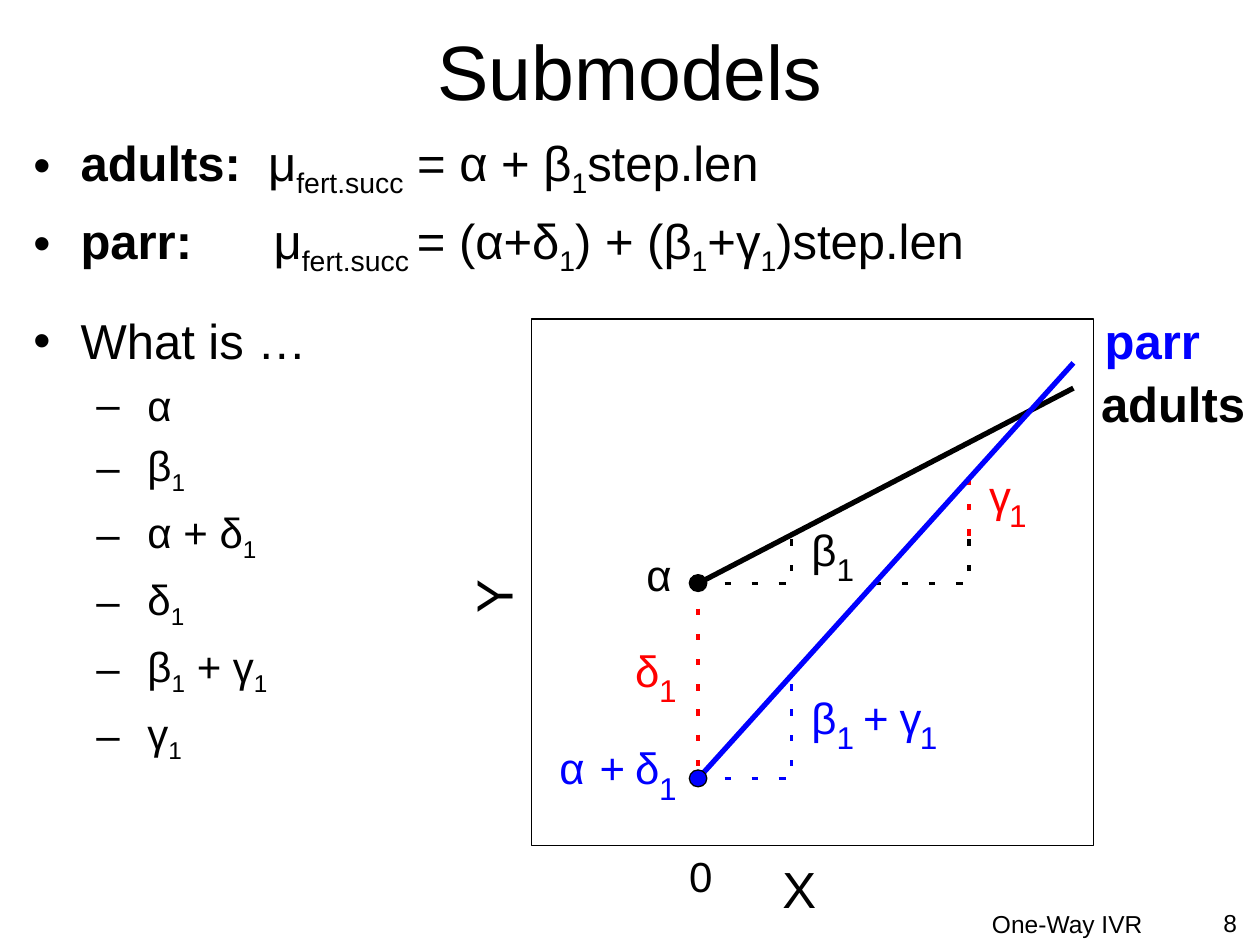
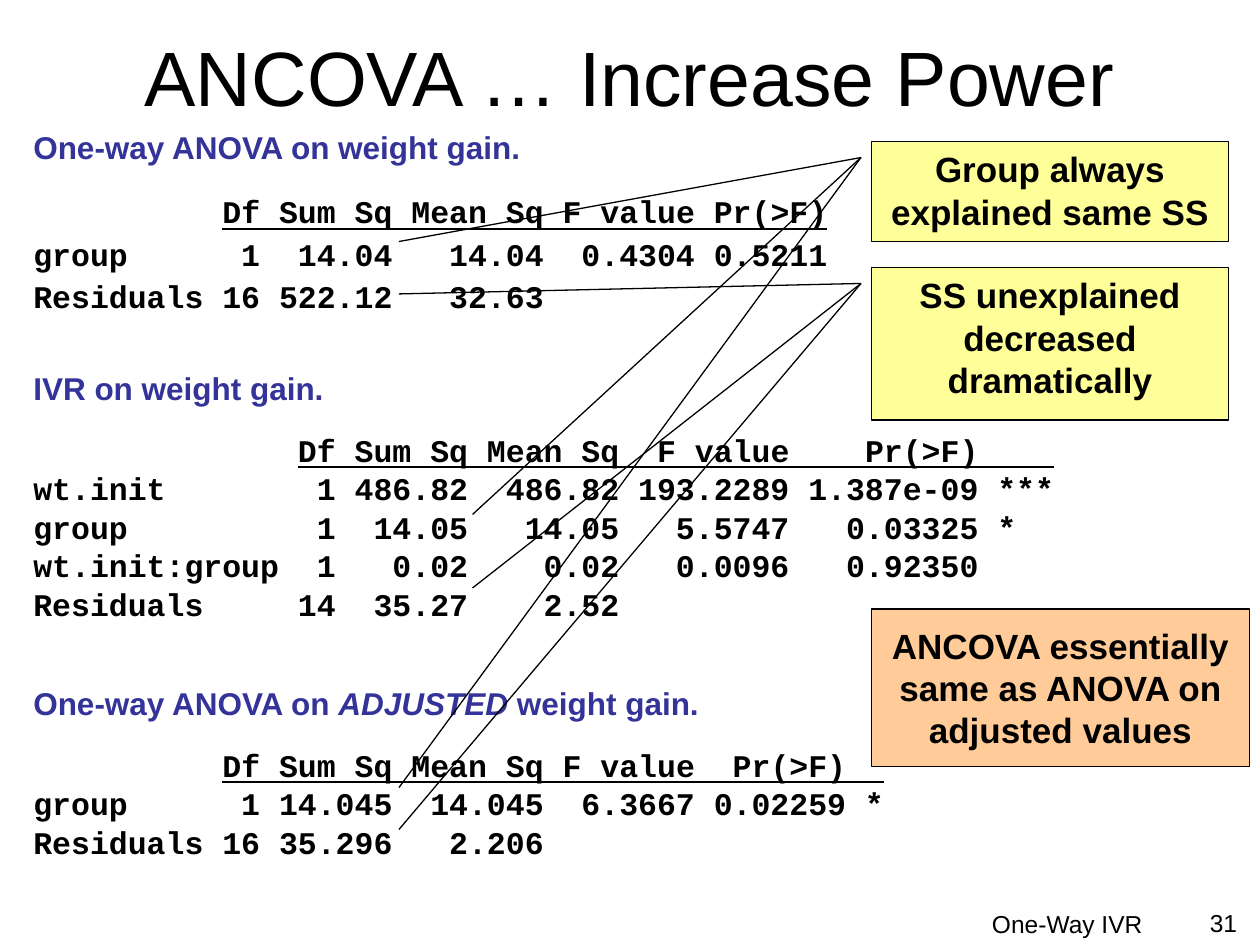
from dataclasses import dataclass
from lxml import etree
from pptx import Presentation
from pptx.dml.color import RGBColor
from pptx.enum import shapes, text
from pptx.oxml.ns import qn
from pptx.util import Pt


@dataclass(frozen=True)
class Theme:
    sans: str = "Arial"
    mono: str = "Courier New"
    black: str = "000000"
    blue: str = "0000FF"
    red: str = "FF0000"
    navy: str = "333399"
    yellow: str = "FFFF99"
    peach: str = "FFCC99"
    title: int = 44
    body: int = 28
    item: int = 24
    axis: int = 29
    symbol: int = 25
    subscript: int = 18
    output: int = 18
    note: int = 20
    footer: int = 14


THEME = Theme()
FOOTER = "One-Way IVR"

SUBMODELS = [
    ("adults:", 7.8, "μ|fert.succ| = α + β|1|step.len"),
    ("parr:", 38.9, "μ|fert.succ |= (α+δ|1|) + (β|1|+γ|1|)step.len"),
]
QUESTION = "What is …"
PARAMETERS = ["α", "β|1|", "α + δ|1|", "δ|1|", "β|1| + γ|1|", "γ|1|"]

DASHES = [
    (414, 333.4, 15.5, 0, 3, THEME.black),
    (452.2, 326.2, 0, -14.4, 2, THEME.black),
    (414, 445, 15.5, 0, 3, THEME.blue),
    (452.2, 437.8, 0, -14.4, 4, THEME.blue),
    (398.9, 347.8, 0, 14.4, 7, THEME.red),
    (499.7, 333.4, 15.5, 0, 4, THEME.black),
    (553.7, 326.2, 0, -14.4, 2, THEME.black),
    (553.7, 306, 0, -14.4, 3, THEME.red),
]
SYMBOL_WIDTHS = {"α": 34.6, "β": 33.1, "γ": 28.1, "δ": 31, "+": 31.7, "1": 19.4}
LABELS = [
    (369.4, 313.2, THEME.black, [("α", 0)]),
    (319.7, 423.4, THEME.blue, [("α", 0), ("+", 23), ("δ", 43.2), ("1", 57)]),
    (463.7, 298.8, THEME.black, [("β", 0), ("1", 14.4)]),
    (463.7, 394.6, THEME.blue,
     [("β", 0), ("1", 14.4), ("+", 29.5), ("γ", 50.4), ("1", 62)]),
    (362.9, 367.9, THEME.red, [("δ", 0), ("1", 13.7)]),
    (565.2, 267.8, THEME.red, [("γ", 0), ("1", 11.5)]),
]
REGRESSIONS = [
    (398.9, 333.4, 613.4, 221.8, THEME.black),
    (398.9, 445, 613.4, 207.4, THEME.blue),
]
GROUP_NAMES = [
    ("adults", 622.1, 210.2, 97.9, THEME.black),
    ("parr", 624.2, 174.2, 69.8, THEME.blue),
]

ANALYSES = [
    {"box": (12, 390, 648, 102), "spacing": 0.8, "ends": (12, 19, 27, 35, 43, 45),
     "heading": "One-way ANOVA on |ADJUSTED| weight gain.",
     "columns": ("Df", "Sum Sq", "Mean Sq", "F value", "Pr(>F)", ""),
     "rows": [("group", "1", "14.045", "14.045", "6.3667", "0.02259", "*"),
              ("Residuals", "16", "35.296", "2.206")]},
    {"box": (12, 72, 648, 108), "spacing": 0.9, "ends": (12, 19, 27, 35, 42),
     "heading": "One-way ANOVA on weight gain.",
     "columns": ("Df", "Sum Sq", "Mean Sq", "F value", "Pr(>F)"),
     "rows": [("group", "1", "14.04", "14.04", "0.4304", "0.5211"),
              ("Residuals", "16", "522.12", "32.63")]},
    {"box": (12, 210, 648, 144), "spacing": 0.8, "ends": (16, 23, 31, 40, 50, 54),
     "heading": "IVR on weight gain.",
     "columns": ("Df", "Sum Sq", "Mean Sq", "F value", "Pr(>F)", ""),
     "rows": [("wt.init", "1", "486.82", "486.82", "193.2289", "1.387e-09", "***"),
              ("group", "1", "14.05", "14.05", "5.5747", "0.03325", "*"),
              ("wt.init:group", "1", "0.02", "0.02", "0.0096", "0.92350"),
              ("Residuals", "14", "35.27", "2.52")]},
]
CALLOUTS = [
    ("Group always explained same SS", (498, 81, 204, 57),
     (0.158, -0.029, 1, -1.324), (492, 90), [(270, 294), (228, 450)]),
    ("SS unexplained decreased dramatically", (498, 153, 204, 87),
     (0.103, -0.029, 0.172, -1.324), (492, 162), [(270, 336), (228, 474)]),
]
CONCLUSION = ("ANCOVA essentially same as ANOVA on adjusted values", (498, 348, 216, 90))


def color(value):
    return RGBColor.from_string(value)


def add_run(paragraph, words, size, tint=THEME.black, font=THEME.sans, bold=False):
    run = paragraph.add_run()
    run.text = words
    run.font.size = Pt(size)
    run.font.name = font
    run.font.bold = bold
    run.font.color.rgb = color(tint)
    return run


def add_formula(paragraph, formula, size):
    for index, part in enumerate(formula.split("|")):
        if part:
            run = add_run(paragraph, part, size)
            if index % 2:
                run.font._element.set("baseline", "-25000")


def add_box(slide, box, anchor=text.MSO_ANCHOR.TOP):
    shape = slide.shapes.add_textbox(*map(Pt, box))
    shape.text_frame.word_wrap = True
    shape.text_frame.vertical_anchor = anchor
    return shape


def add_line(slide, start, end, tint, width):
    line = slide.shapes.add_connector(
        shapes.MSO_CONNECTOR.STRAIGHT, *map(Pt, (*start, *end)))
    line.line.color.rgb = color(tint)
    line.line.width = Pt(width)
    etree.SubElement(line._element.spPr, qn("a:effectLst"))


def add_figure(slide, kind, box, fill=None, width=0):
    shape = slide.shapes.add_shape(kind, *map(Pt, box))
    shape.shadow.inherit = False
    if fill:
        shape.fill.solid()
        shape.fill.fore_color.rgb = color(fill)
    else:
        shape.fill.background()
    shape.line.color.rgb = color(THEME.black)
    shape.line.width = Pt(width)
    return shape


def add_label(slide, words, box, size, tint=THEME.black, bold=False, inset=False):
    shape = add_box(slide, box)
    frame = shape.text_frame
    frame.word_wrap = False
    frame.auto_size = text.MSO_AUTO_SIZE.SHAPE_TO_FIT_TEXT
    if not inset:
        frame.margin_left = frame.margin_right = 0
        frame.margin_top = frame.margin_bottom = 0
    add_run(frame.paragraphs[0], words, size, tint, bold=bold)
    return shape


def next_paragraph(frame):
    first = frame.paragraphs[0]
    return frame.add_paragraph() if first.runs else first


def add_bullet(frame, mark, margin, hanging, space):
    paragraph = next_paragraph(frame)
    paragraph.space_before = Pt(space)
    properties = paragraph._p.get_or_add_pPr()
    properties.set("marL", str(Pt(margin)))
    properties.set("indent", str(-Pt(hanging)))
    etree.SubElement(properties, qn("a:buFont")).set("typeface", THEME.sans)
    etree.SubElement(properties, qn("a:buChar")).set("char", mark)
    return paragraph


def add_slide(presentation, title, title_box, number):
    slide = presentation.slides.add_slide(presentation.slide_layouts[6])
    right, center = text.PP_ALIGN.RIGHT, text.PP_ALIGN.CENTER
    for words, box, size, align, anchor in (
        (FOOTER, (432, 516, 228, 18), THEME.footer, right, text.MSO_ANCHOR.TOP),
        (number, (666, 515.5, 48, 24.5), THEME.footer, right, text.MSO_ANCHOR.TOP),
        (title, title_box, THEME.title, center, text.MSO_ANCHOR.MIDDLE),
    ):
        paragraph = add_box(slide, box, anchor).text_frame.paragraphs[0]
        paragraph.alignment = align
        add_run(paragraph, words, size)
    return slide


def add_note(shape, words, anchor):
    shape.text_frame.word_wrap = True
    shape.text_frame.vertical_anchor = anchor
    paragraph = shape.text_frame.paragraphs[0]
    paragraph.alignment = text.PP_ALIGN.CENTER
    add_run(paragraph, words, THEME.note, bold=True)


def align_columns(cells, ends):
    starts = (0, *ends)
    return "".join(
        " " + cell if cell.startswith("*") else cell.rjust(end - start)
        for cell, start, end in zip(cells, starts, ends))


def add_analysis(slide, analysis):
    frame = add_box(slide, analysis["box"]).text_frame
    ends = analysis["ends"]
    label_width = ends[0] - 2

    def output_line(space):
        paragraph = next_paragraph(frame)
        paragraph.space_before = Pt(space)
        paragraph.line_spacing = analysis["spacing"]
        return paragraph

    heading = output_line(4.5)
    heading.line_spacing = 0.9
    for index, part in enumerate(analysis["heading"].split("|")):
        run = add_run(heading, part, THEME.output, THEME.navy, bold=True)
        run.font.italic = bool(index % 2)

    header = output_line(17.4)
    columns = align_columns(analysis["columns"], ends)[label_width:]
    for words, underline in ((" " * label_width, False), (columns, True)):
        run = add_run(header, words, THEME.output, font=THEME.mono, bold=True)
        run.font.underline = underline

    for name, *cells in analysis["rows"]:
        line = name + align_columns(cells, ends)[len(name):]
        add_run(output_line(4.7), line, THEME.output, font=THEME.mono, bold=True)


def build_submodels(presentation):
    slide = add_slide(presentation, "Submodels", (36, 6, 648, 68), "8")

    frame = add_box(slide, (12, 72, 690, 96)).text_frame
    for name, gap, formula in SUBMODELS:
        paragraph = add_bullet(frame, "•", 27, 27, 6.4)
        add_run(paragraph, name, THEME.body, bold=True)
        space = add_run(paragraph, " ", THEME.body, bold=True)
        space.font._element.set("spc", str(round(gap * 100)))
        add_formula(paragraph, formula, THEME.body)

    for x, y, tint, symbols in LABELS:
        for symbol, offset in symbols:
            lowered = symbol == "1"
            size = THEME.subscript if lowered else THEME.symbol
            top, height = (y + 15.8, 23.8) if lowered else (y, 38.2)
            box = (x + offset, top, SYMBOL_WIDTHS[symbol], height)
            add_label(slide, symbol, box, size, tint)

    for x, y, step_x, step_y, count, tint in DASHES:
        for index in range(count):
            start = (x + index * step_x, y + index * step_y)
            end = (start[0] + step_x / 4, start[1] + step_y / 4)
            add_line(slide, start, end, tint, 2)

    add_figure(slide, shapes.MSO_SHAPE.RECTANGLE, (303.8, 182.2, 321.1, 301))
    add_label(slide, "X", (447.1, 490.3, 33.1, 39.6), THEME.axis)
    add_label(slide, "Y", (266.4, 313.2, 34.6, 39.6), THEME.axis).rotation = 270
    add_label(slide, "0", (393.8, 486, 25.2, 32.4), THEME.item)
    for x1, y1, x2, y2, tint in REGRESSIONS:
        add_line(slide, (x1, y1), (x2, y2), tint, 3)
        add_figure(slide, shapes.MSO_SHAPE.OVAL, (x1 - 5, y1 - 5, 10, 9.6), tint)
    for name, x, y, width, tint in GROUP_NAMES:
        add_label(slide, name, (x, y, width, 41), THEME.body, tint, True, True)

    frame = add_box(slide, (12, 174.2, 204, 263.5)).text_frame
    add_run(add_bullet(frame, "•", 27, 27, 6.4), QUESTION, THEME.body)
    for parameter in PARAMETERS:
        paragraph = add_bullet(frame, "–", 58.5, 22.5, 5.5)
        paragraph.level = 1
        add_formula(paragraph, " " + parameter, THEME.item)


def build_ancova(presentation):
    slide = add_slide(presentation, "ANCOVA … Increase Power", (5, 9.5, 710, 68), "31")
    for analysis in ANALYSES:
        add_analysis(slide, analysis)
    for words, box, adjustments, source, targets in CALLOUTS:
        callout = add_figure(
            slide, shapes.MSO_SHAPE.LINE_CALLOUT_1, box, THEME.yellow, 0.75)
        for index, value in enumerate(adjustments):
            callout.adjustments[index] = value
        add_note(callout, words, text.MSO_ANCHOR.TOP)
        for target in targets:
            add_line(slide, target, source, THEME.black, 0.75)
    words, box = CONCLUSION
    panel = add_figure(slide, shapes.MSO_SHAPE.RECTANGLE, box, THEME.peach, 0.75)
    add_note(panel, words, text.MSO_ANCHOR.MIDDLE)


presentation = Presentation()
presentation.slide_width, presentation.slide_height = Pt(720), Pt(540)
build_submodels(presentation)
build_ancova(presentation)
presentation.save("out.pptx")
